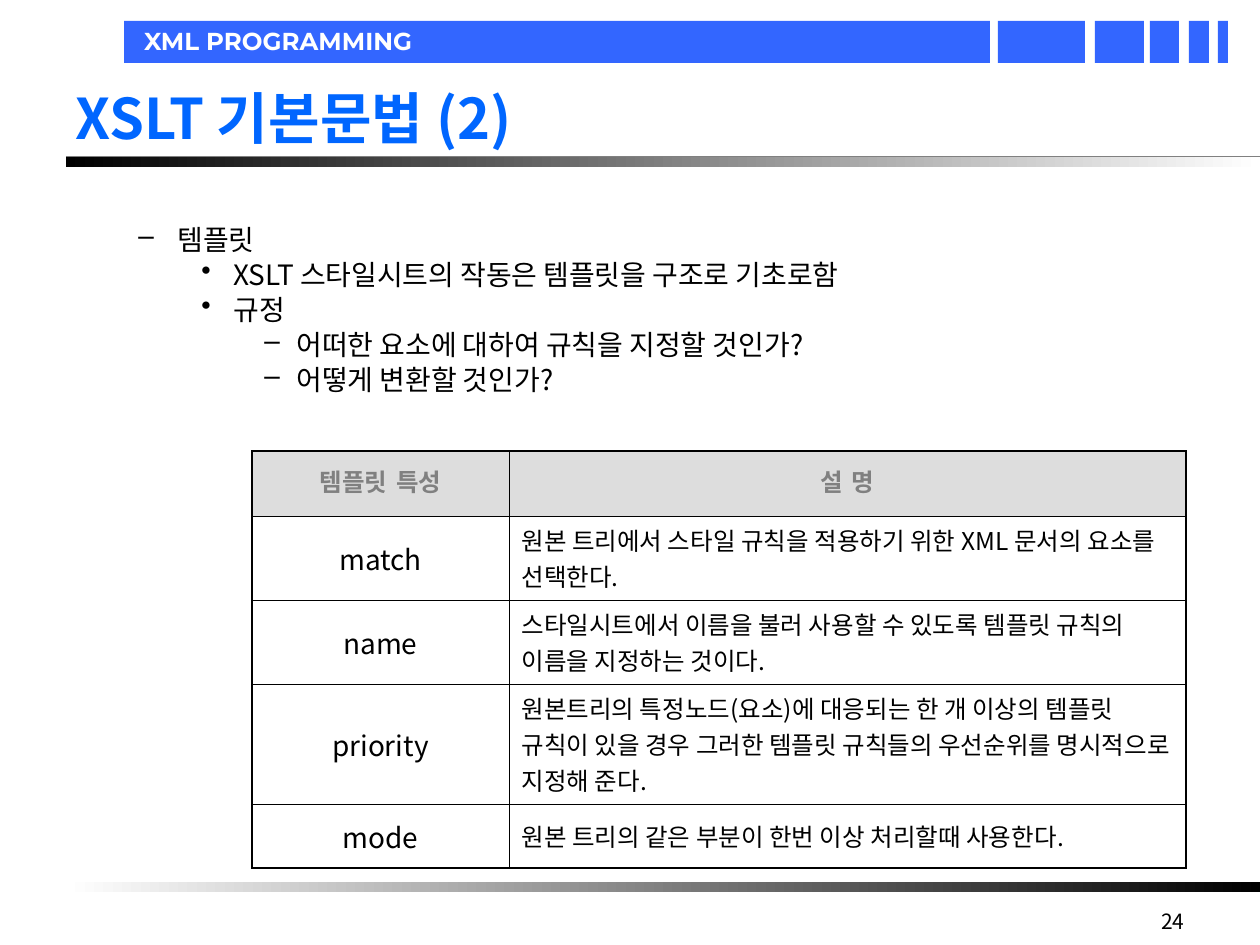
from lxml.etree import SubElement
from pptx import Presentation
from pptx.dml.color import RGBColor
from pptx.enum.shapes import MSO_CONNECTOR, MSO_SHAPE
from pptx.enum.text import MSO_ANCHOR as Anchor, PP_ALIGN as Align
from pptx.oxml.ns import qn
from pptx.util import Pt

PX = 914400 // 126
KOREAN = "Noto Sans CJK KR"
COLORS = {
    "bar": "3366FF", "title": "0066FF", "black": "000000", "white": "FFFFFF",
    "gray": "808080", "header": "DDDDDD",
}
# (level, text) and, for each level, (bullet, left margin px, hanging px)
OUTLINE = [
    (1, "템플릿"),
    (2, "XSLT 스타일시트의 작동은 템플릿을 구조로 기초로함"),
    (2, "규정"),
    (3, "어떠한 요소에 대하여 규칙을 지정할 것인가?"),
    (3, "어떻게 변환할 것인가?"),
]
LEVELS = {1: ("–", 102, 39), 2: ("•", 158, 32), 3: ("–", 221, 32)}
ATTRIBUTES = [
    ("템플릿 특성", "설 명"),
    ("match", "원본 트리에서 스타일 규칙을 적용하기 위한 XML 문서의 요소를 선택한다."),
    ("name", "스타일시트에서 이름을 불러 사용할 수 있도록 템플릿 규칙의 이름을 지정하는 것이다."),
    ("priority", "원본트리의 특정노드(요소)에 대응되는 한 개 이상의 템플릿 규칙이 있을 경우 "
                 "그러한 템플릿 규칙들의 우선순위를 명시적으로 지정해 준다."),
    ("mode", "원본 트리의 같은 부분이 한번 이상 처리할때 사용한다."),
]
COLUMN_WIDTHS = [257, 677]
ROW_HEIGHTS = [65, 84, 84, 120, 64]


def emu(*lengths):
    return [length * PX for length in lengths]


def rgb(name):
    return RGBColor.from_string(COLORS[name])


def write(paragraph, text, size=16, color="black", font=KOREAN, bold=False,
          align=Align.LEFT):
    paragraph.alignment = align
    run = paragraph.add_run()
    run.text = text
    run.font.size = Pt(size)
    run.font.bold = bold
    run.font.color.rgb = rgb(color)
    run.font.name = font
    SubElement(run.font._element, qn("a:ea"), typeface=font)


def add_text_frame(slide, box, anchor=Anchor.TOP):
    frame = slide.shapes.add_textbox(*emu(*box)).text_frame
    frame.word_wrap = True
    frame.vertical_anchor = anchor
    return frame


def add_bar(slide, box):
    bar = slide.shapes.add_shape(MSO_SHAPE.RECTANGLE, *emu(*box))
    bar.shadow.inherit = False
    bar.line.fill.background()
    return bar


def add_gradient_bar(slide, box, colors):
    fill = add_bar(slide, box).fill
    fill.gradient()
    fill.gradient_angle = 0
    for stop, color in zip(fill.gradient_stops, colors):
        stop.color.rgb = rgb(color)


def add_banner(slide, box):
    """Course name on a long bar, followed by ever narrower bars."""
    left, top, _, height = box
    for offset, width in [(874, 87), (971, 49), (1026, 29), (1065, 20),
                          (1094, 10), (0, 866)]:
        fill = add_bar(slide, (left + offset, top, width, height)).fill
        fill.solid()
        fill.fore_color.rgb = rgb("bar")
    frame = add_text_frame(slide, (left + 20, top + 5, 635, 29), Anchor.MIDDLE)
    frame.margin_left = frame.margin_right = 0
    frame.margin_top = frame.margin_bottom = 0
    write(frame.paragraphs[0], "XML PROGRAMMING", size=14, color="white",
          font="Montserrat", bold=True)


def add_title(slide, box):
    frame = add_text_frame(slide, box, Anchor.MIDDLE)
    write(frame.paragraphs[0], "XSLT 기본문법 (2)", size=32, color="title", bold=True)


def add_title_rule(slide, box):
    left, top, width, _ = box
    line = slide.shapes.add_connector(
        MSO_CONNECTOR.STRAIGHT, *emu(left, top, left + width, top))
    line.line.color.rgb = rgb("gray")
    line.line.width = Pt(1.5)
    SubElement(line._element.spPr, qn("a:effectLst"))
    add_gradient_bar(slide, box, ("black", "white"))


def add_outline(slide, box):
    frame = add_text_frame(slide, box)
    for index, (level, text) in enumerate(OUTLINE):
        paragraph = frame.paragraphs[0] if index == 0 else frame.add_paragraph()
        bullet, margin, hanging = LEVELS[level]
        paragraph.level = level
        paragraph.line_spacing = 0.83
        if index:
            paragraph.space_before = Pt(4)
        properties = paragraph._p.get_or_add_pPr()
        properties.set("marL", str(margin * PX))
        properties.set("indent", str(-hanging * PX))
        SubElement(properties, qn("a:buChar"), char=bullet)
        write(paragraph, text)


def set_borders(cell, outer_sides):
    """Draw all four borders, thicker on the sides named in outer_sides."""
    properties = cell._tc.get_or_add_tcPr()
    for side in "LRTB":
        width = Pt(1.08 if side in outer_sides else 0.45)
        border = SubElement(properties, qn(f"a:ln{side}"), w=str(width))
        fill = SubElement(border, qn("a:solidFill"))
        SubElement(fill, qn("a:srgbClr"), val=COLORS["black"])


def add_attribute_table(slide, box):
    rows, columns = len(ROW_HEIGHTS), len(COLUMN_WIDTHS)
    table = slide.shapes.add_table(rows, columns, *emu(*box)).table
    for column, width in zip(table.columns, COLUMN_WIDTHS):
        column.width = width * PX
    for row, height in zip(table.rows, ROW_HEIGHTS):
        row.height = height * PX
    for r, texts in enumerate(ATTRIBUTES):
        for c, text in enumerate(texts):
            cell = table.cell(r, c)
            cell.vertical_anchor = Anchor.MIDDLE
            set_borders(cell, ("L" if c == 0 else "R")
                        + ("T" if r == 0 else "")
                        + ("B" if r == rows - 1 else ""))
            cell.fill.solid()
            cell.fill.fore_color.rgb = rgb("white" if r else "header")
            if r == 0:
                style = dict(size=14, color="gray", font="DejaVu Sans",
                             bold=True, align=Align.CENTER)
            elif c == 0:
                style = dict(size=16, align=Align.CENTER)
            else:
                style = dict(size=14)
            write(cell.text_frame.paragraphs[0], text, **style)


def add_page_number(slide, box):
    frame = add_text_frame(slide, box)
    write(frame.paragraphs[0], "24", size=12, align=Align.RIGHT)


def main():
    deck = Presentation()
    deck.slide_width, deck.slide_height = emu(1260, 945)
    slide = deck.slides.add_slide(deck.slide_layouts[6])
    add_banner(slide, (124, 21, 1104, 42))
    add_title_rule(slide, (66, 157, 1194, 10))
    add_gradient_bar(slide, (66, 882, 1194, 10), ("white", "black"))
    add_page_number(slide, (903, 902, 294, 37))
    add_title(slide, (63, 38, 1134, 158))
    add_outline(slide, (63, 222, 1133, 220))
    add_attribute_table(
        slide, (252, 451, sum(COLUMN_WIDTHS), sum(ROW_HEIGHTS)))
    deck.save("out.pptx")


if __name__ == "__main__":
    main()
